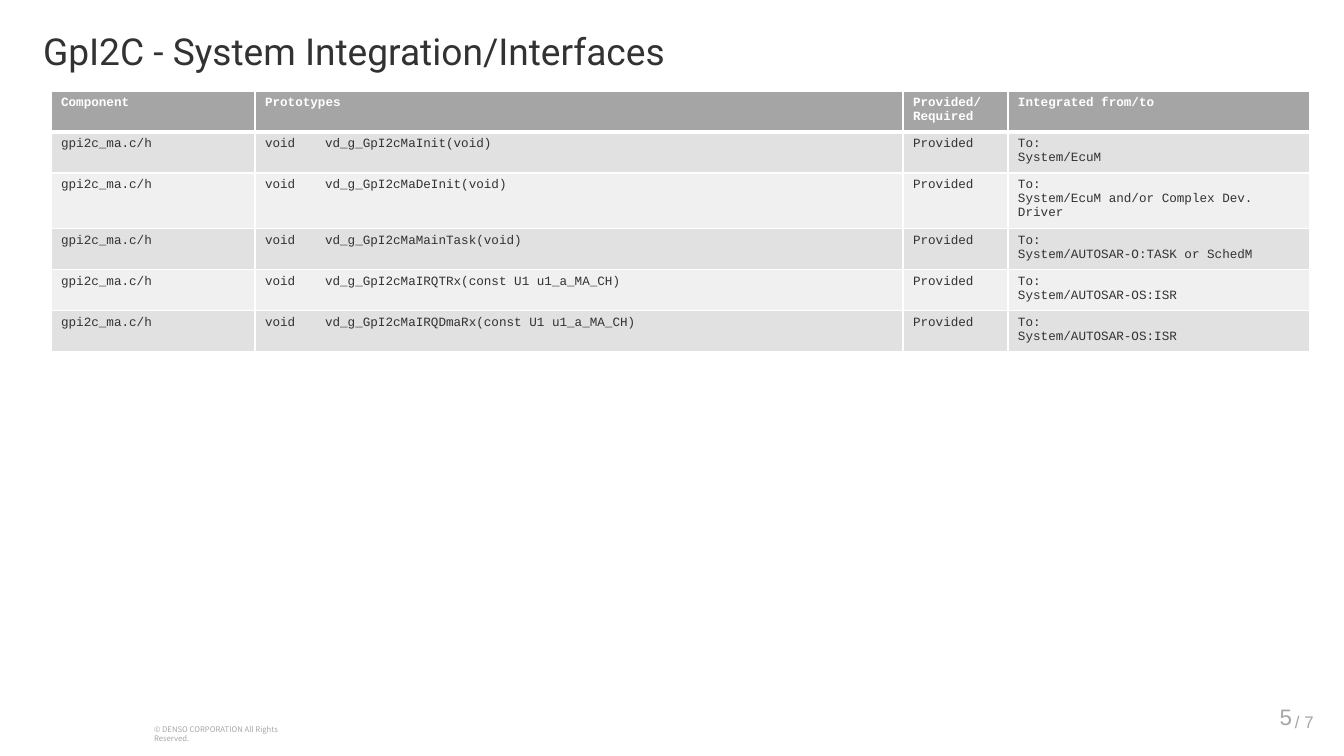
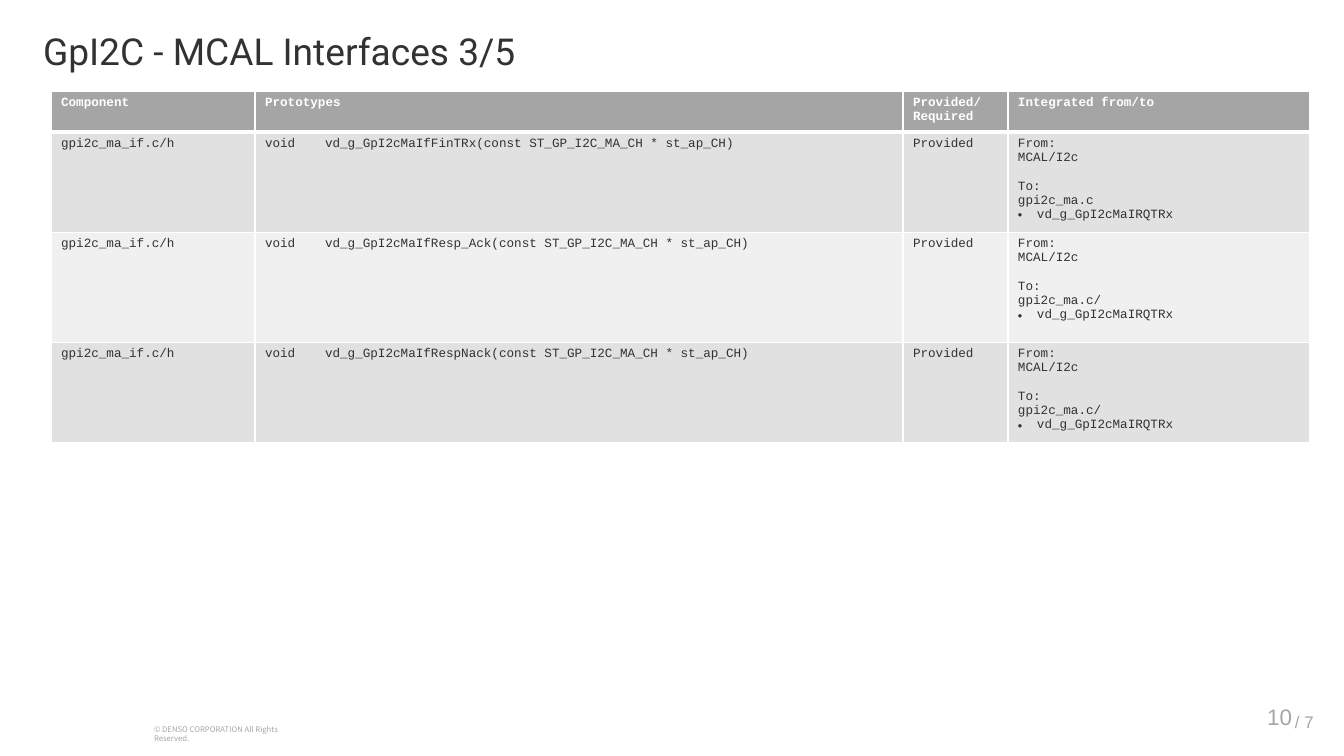
from lxml import etree
from pptx import Presentation
from pptx import util as u
from pptx.dml.color import RGBColor
from pptx.enum import text as t
from pptx.oxml import ns

SLIDE_WIDTH, SLIDE_HEIGHT = 1344, 756
EMU_PER_PX = 12192000 / SLIDE_WIDTH
TITLE_ONLY = 5

WHITE, INK, MUTED = "FFFFFF", "323232", "A6A6A6"
HEADER_FILL, BAND_FILLS = "A5A5A5", ("E1E1E1", "F0F0F0")
TITLE_STYLE = dict(size=26.5, font="Roboto", color=INK, spacing=0.9,
                   align=t.PP_ALIGN.LEFT)
COPYRIGHT_STYLE = dict(size=5.5, font="Noto Sans CJK JP", color=MUTED)
PAGE_STYLE = dict(size=16, font="Arial", color=MUTED, align=t.PP_ALIGN.RIGHT)
TOTAL_STYLE = dict(size=12, font="Arial", color=MUTED)
BODY_STYLE = dict(size=9, font="Courier New", color=INK)
HEADER_STYLE = dict(BODY_STYLE, color=WHITE, bold=True)

COLUMN_WIDTHS = (204, 648, 105, 302)
HEADER_HEIGHT = 41
PROTOTYPE_TAB = 60
BULLET_INDENT = 19
BLANK_LINE = 10.2
HEADERS = (["Component"], ["Prototypes"], ["Provided/", "Required"],
           ["Integrated from/to"])


def px(length):
    return u.Emu(round(length * EMU_PER_PX))


def rgb(value):
    return RGBColor.from_string(value)


def add_child(parent, tag, **attributes):
    child = etree.SubElement(parent, ns.qn(tag))
    for name, value in attributes.items():
        child.set(name, str(value))
    return child


def write_para(para, content, size, font, color, bold=False, align=None,
               spacing=None, before=None, bullet=False, tab=None):
    properties = para._p.get_or_add_pPr()
    if bullet:
        properties.set("marL", str(px(BULLET_INDENT)))
        properties.set("indent", str(-px(BULLET_INDENT)))
        add_child(properties, "a:buFont", typeface="Arial")
        add_child(properties, "a:buChar", char="•")
    if tab:
        tabs = add_child(properties, "a:tabLst")
        add_child(tabs, "a:tab", pos=px(tab), algn="l")
    if align is not None:
        para.alignment = align
    if spacing is not None:
        para.line_spacing = spacing
    if before is not None:
        para.space_before = u.Pt(before)
    span = para.add_run()
    span.text = content
    span.font.size = u.Pt(size)
    span.font.name = font
    span.font.bold = bold
    span.font.color.rgb = rgb(color)


def write_lines(frame, lines, **style):
    for index, line in enumerate(lines):
        para = frame.add_paragraph() if index else frame.paragraphs[0]
        content, extra = (line, {}) if isinstance(line, str) else line
        write_para(para, content, **{**style, **extra})


def set_margins(frame, left, top, right, bottom):
    frame.margin_left, frame.margin_top = px(left), px(top)
    frame.margin_right, frame.margin_bottom = px(right), px(bottom)


def add_title(slide, content):
    title = slide.shapes.title
    title.left, title.top, title.width, title.height = map(px, (0, 28, 1191, 45))
    frame = title.text_frame
    set_margins(frame, 43, 5, 10, 5)
    frame.vertical_anchor = t.MSO_ANCHOR.TOP
    frame.auto_size = t.MSO_AUTO_SIZE.NONE
    write_lines(frame, [content], **TITLE_STYLE)


def add_label(slide, content, place, anchor, margins, wrap, **style):
    frame = slide.shapes.add_textbox(*map(px, place)).text_frame
    frame.word_wrap = wrap
    frame.vertical_anchor = anchor
    set_margins(frame, *margins)
    write_lines(frame, [content], **style)


def add_footer(slide, page):
    add_label(slide, "© DENSO CORPORATION All Rights Reserved.",
              (144, 720, 179, 19), t.MSO_ANCHOR.TOP, (10, 5, 10, 5), True,
              **COPYRIGHT_STYLE)
    for content, place, wrap, style in (
            (str(page), (1230, 699, 72, 35), True, PAGE_STYLE),
            ("/ 7", (1285, 708, 39, 28), False, TOTAL_STYLE)):
        add_label(slide, content, place, t.MSO_ANCHOR.MIDDLE, (10, 4, 10, 4),
                  wrap, **style)


def format_cell(cell, lines, fill, top, bottom, **style):
    properties = cell._tc.get_or_add_tcPr()
    for side, width in (("L", 1), ("R", 1), ("T", top), ("B", bottom)):
        line = add_child(properties, "a:ln" + side, w=u.Pt(width))
        solid = add_child(line, "a:solidFill")
        add_child(solid, "a:srgbClr", val=WHITE)
    cell.fill.solid()
    cell.fill.fore_color.rgb = rgb(fill)
    write_lines(cell.text_frame, lines, **style)


def add_interface_table(slide, component, interfaces):
    heights = [HEADER_HEIGHT] + [height for _, _, height in interfaces]
    table = slide.shapes.add_table(
        len(heights), len(COLUMN_WIDTHS), px(51), px(91),
        px(sum(COLUMN_WIDTHS)), px(sum(heights))).table
    table.horz_banding = False
    for column, width in zip(table.columns, COLUMN_WIDTHS):
        column.width = px(width)
    for row, height in zip(table.rows, heights):
        row.height = px(height)
    for cell, lines in zip(table.rows[0].cells, HEADERS):
        format_cell(cell, lines, HEADER_FILL, 1, 3, **HEADER_STYLE)
    for index, (function, links, _) in enumerate(interfaces):
        prototype = ("void\t" + function, dict(tab=PROTOTYPE_TAB))
        contents = ([component], [prototype], ["Provided"], links)
        for cell, lines in zip(table.rows[index + 1].cells, contents):
            format_cell(cell, lines, BAND_FILLS[index % 2],
                        1 if index else 3, 1, **BODY_STYLE)


def link_to(target):
    return ["To:", "System/" + target]


def link_from_mcal(target):
    return ["From:", "MCAL/I2c", ("To:", dict(before=BLANK_LINE)), target,
            ("vd_g_GpI2cMaIRQTRx", dict(bullet=True))]


def add_page(deck, title, page, component, interfaces):
    slide = deck.slides.add_slide(deck.slide_layouts[TITLE_ONLY])
    add_footer(slide, page)
    add_title(slide, title)
    add_interface_table(slide, component, interfaces)


def main():
    deck = Presentation()
    deck.slide_width, deck.slide_height = px(SLIDE_WIDTH), px(SLIDE_HEIGHT)
    add_page(deck, "GpI2C - System Integration/Interfaces", 5, "gpi2c_ma.c/h", [
        ("vd_g_GpI2cMaInit(void)", link_to("EcuM"), 41),
        ("vd_g_GpI2cMaDeInit(void)",
         link_to("EcuM and/or Complex Dev. Driver"), 53),
        ("vd_g_GpI2cMaMainTask(void)",
         link_to("AUTOSAR-O:TASK or SchedM"), 41),
        ("vd_g_GpI2cMaIRQTRx(const U1 u1_a_MA_CH)",
         link_to("AUTOSAR-OS:ISR"), 41),
        ("vd_g_GpI2cMaIRQDmaRx(const U1 u1_a_MA_CH)",
         link_to("AUTOSAR-OS:ISR"), 41),
    ])
    add_page(deck, "GpI2C - MCAL Interfaces 3/5", 10, "gpi2c_ma_if.c/h", [
        ("vd_g_GpI2cMaIfFinTRx(const ST_GP_I2C_MA_CH * st_ap_CH)",
         link_from_mcal("gpi2c_ma.c"), 95),
        ("vd_g_GpI2cMaIfResp_Ack(const ST_GP_I2C_MA_CH * st_ap_CH)",
         link_from_mcal("gpi2c_ma.c/"), 110),
        ("vd_g_GpI2cMaIfRespNack(const ST_GP_I2C_MA_CH * st_ap_CH)",
         link_from_mcal("gpi2c_ma.c/"), 95),
    ])
    deck.save("out.pptx")


if __name__ == "__main__":
    main()
